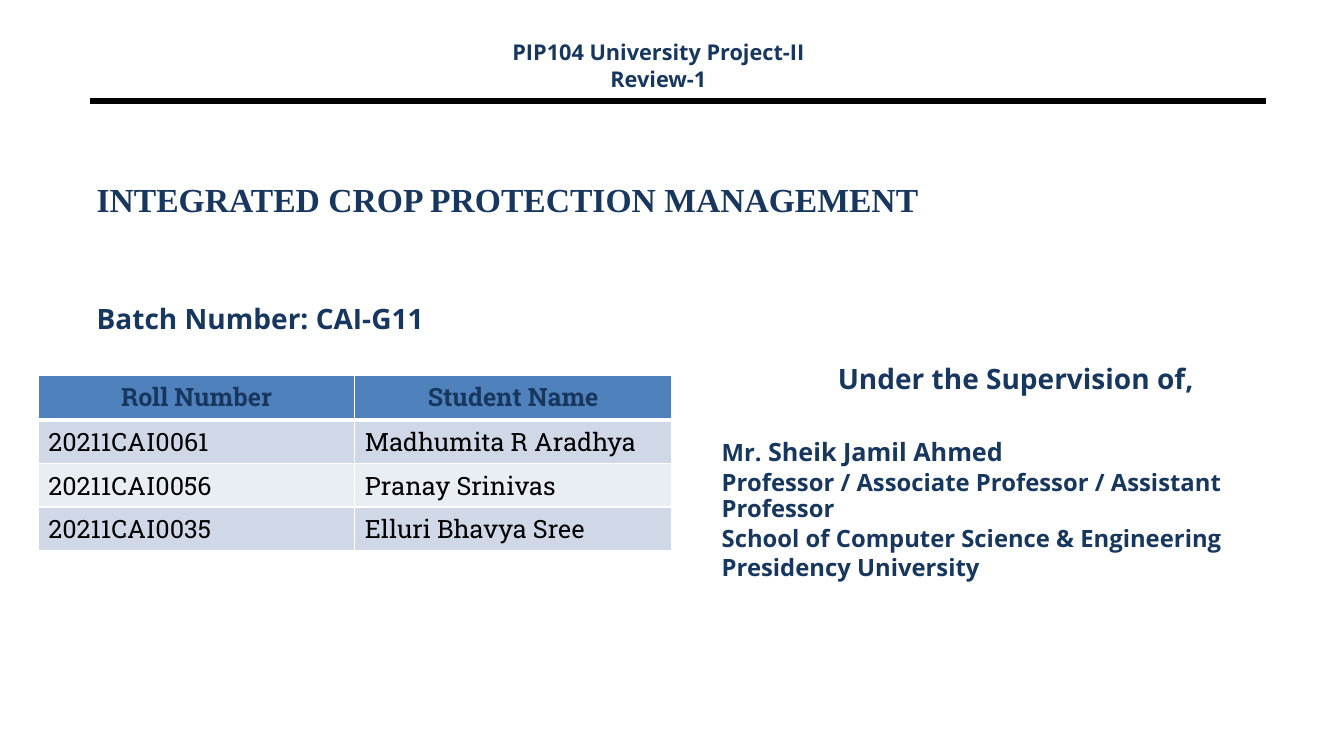
from lxml import etree
from pptx import Presentation
from pptx.dml.color import RGBColor
from pptx.enum.shapes import MSO_CONNECTOR
from pptx.enum.text import MSO_ANCHOR, PP_ALIGN
from pptx.oxml.ns import qn
from pptx.util import Inches, Pt

LEFT, CENTER = PP_ALIGN.LEFT, PP_ALIGN.CENTER
TOP, MIDDLE = MSO_ANCHOR.TOP, MSO_ANCHOR.MIDDLE
STRAIGHT = MSO_CONNECTOR.STRAIGHT

THEME = {
    "navy": "17375E", "black": "000000", "white": "FFFFFF",
    "head": "4F81BD", "bands": ("D0D8E8", "E9EDF4"),
    "sans": "Open Sans", "serif": "Times New Roman", "slab": "Roboto Slab",
    "title": 24, "lead": 20, "name": 18, "body": 17, "course": 15.5,
    "cell": 18, "line": 0.9,
}

# Each line: text, size, alignment, space before in points
TITLE = [("INTEGRATED CROP PROTECTION MANAGEMENT", "title", LEFT, 0)]
BATCH = [("Batch Number: CAI-G11", "lead", LEFT, 0)]
COURSE = [
    ("PIP104 University Project-II", "course", CENTER, 0),
    ("Review-1", "course", CENTER, 2.5),
]
GUIDE = [
    ("Under the Supervision of,", "lead", CENTER, 0),
    (("Mr. ", "Sheik Jamil Ahmed"), ("body", "name"), LEFT, 31),
    ("Professor / Associate Professor / Assistant Professor", "body", LEFT, 3),
    ("School of Computer Science & Engineering", "body", LEFT, 3),
    ("Presidency University", "body", LEFT, 3),
]
# Each box: left, top, width, height, lines, font, anchor
BOXES = [
    (0.86, 1.17, 11.33, 1.61, TITLE, "serif", MIDDLE),
    (0.86, 2.98, 4.34, 0.6, BATCH, "sans", TOP),
    (7.06, 3.58, 6.03, 2.66, GUIDE, "sans", TOP),
    (4.36, 0.37, 4.34, 0.6, COURSE, "sans", TOP),
]
RULE = (0.89, 1, 12.56, 1)
STUDENTS = [
    ("Roll Number", "Student Name"),
    ("20211CAI0061", "Madhumita R Aradhya"),
    ("20211CAI0056", "Pranay Srinivas"),
    ("20211CAI0035", "Elluri Bhavya Sree"),
]
GRID = (0.38, 3.72)
COL, HEAD, ROW = 3.14, 0.45, 0.43


def color(name):
    return RGBColor.from_string(THEME.get(name, name))


def style(font, face, size, tint, bold):
    font.name, font.size, font.bold = THEME[face], Pt(THEME[size]), bold
    font.color.rgb = color(tint)


def add_text(slide, left, top, width, height, lines, face, anchor):
    box = slide.shapes.add_textbox(*map(Inches, (left, top, width, height)))
    frame = box.text_frame
    frame.word_wrap, frame.vertical_anchor = True, anchor
    for i, (text, size, align, gap) in enumerate(lines):
        para = frame.add_paragraph() if i else frame.paragraphs[0]
        para.alignment, para.space_before = align, Pt(gap)
        if face == "sans":
            para.line_spacing = THEME["line"]
        if isinstance(text, str):
            para.add_run().text = text
            style(para.font, face, size, "navy", True)
            continue
        for part, key in zip(text, size):
            run = para.add_run()
            run.text = part
            style(run.font, face, key, "navy", True)


def add_rule(slide):
    rule = slide.shapes.add_connector(STRAIGHT, *map(Inches, RULE))
    rule.line.color.rgb, rule.line.width = color("black"), Pt(4.5)
    etree.SubElement(rule._element.spPr, qn("a:effectLst"))


def add_edges(cell, low):
    """Draw white cell borders; low is the bottom width in points."""
    props = cell._tc.get_or_add_tcPr()
    for side, width in (("L", 1), ("R", 1), ("T", 1), ("B", low)):
        edge = etree.SubElement(props, qn("a:ln" + side), w=str(Pt(width)))
        fill = etree.SubElement(edge, qn("a:solidFill"))
        etree.SubElement(fill, qn("a:srgbClr"), val=THEME["white"])


def add_students(slide):
    rows, cols = len(STUDENTS), len(STUDENTS[0])
    size = (COL * cols, HEAD + ROW * (rows - 1))
    table = slide.shapes.add_table(rows, cols, *map(Inches, GRID + size)).table
    for r, names in enumerate(STUDENTS):
        head = r == 0
        table.rows[r].height = Inches(HEAD if head else ROW)
        for c, name in enumerate(names):
            cell = table.cell(r, c)
            add_edges(cell, 3 if head else 1)
            cell.fill.solid()
            cell.fill.fore_color.rgb = color(
                "head" if head else THEME["bands"][(r - 1) % 2])
            para = cell.text_frame.paragraphs[0]
            para.add_run().text = name
            para.alignment = CENTER if head else LEFT
            style(para.font, "slab", "cell", "navy" if head else "black", head)


def main():
    deck = Presentation()
    deck.slide_width, deck.slide_height = Inches(13.33), Inches(7.5)
    slide = deck.slides.add_slide(deck.slide_layouts[6])
    add_rule(slide)
    for box in BOXES:
        add_text(slide, *box)
    add_students(slide)
    deck.save("out.pptx")


if __name__ == "__main__":
    main()
